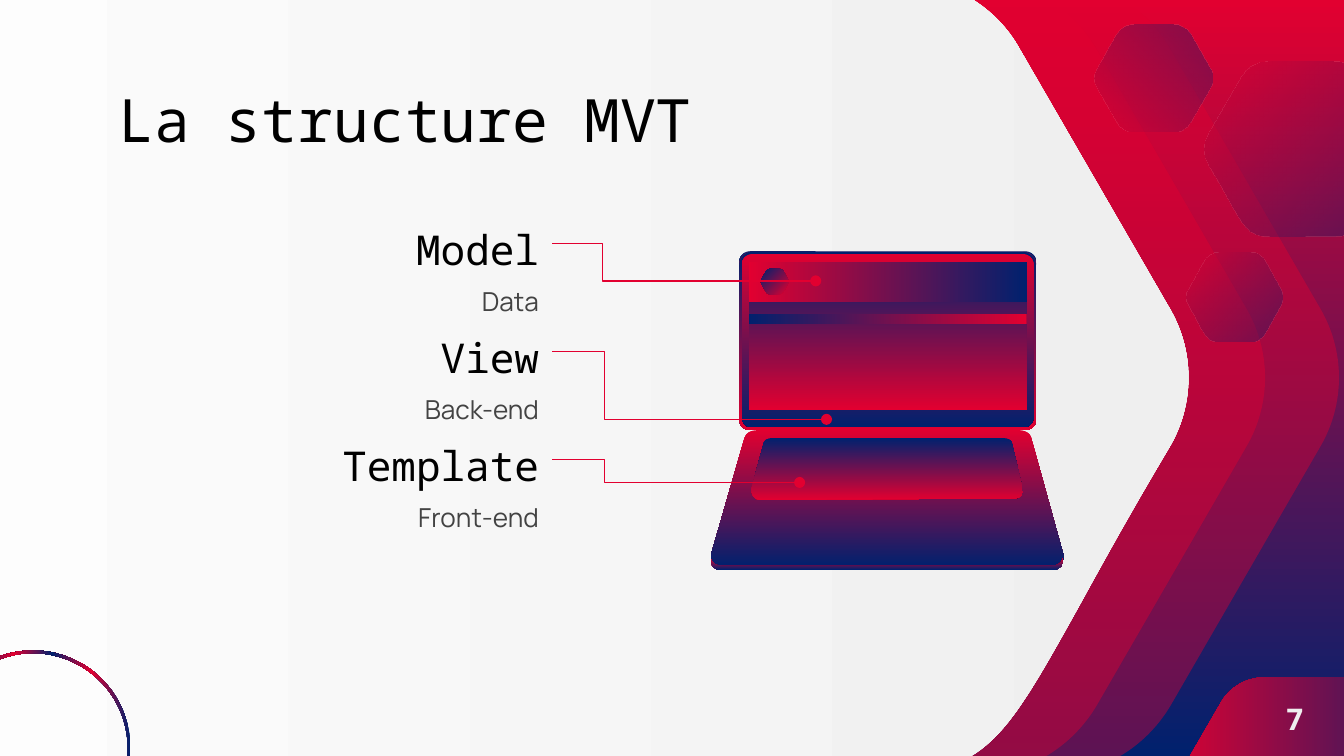
import pptx
import pptx.dml.color
import pptx.enum.shapes
import pptx.enum.text
import pptx.oxml
import pptx.oxml.ns
import pptx.util

Inches, Pt = pptx.util.Inches, pptx.util.Pt
RGBColor = pptx.dml.color.RGBColor
SHAPE = pptx.enum.shapes.MSO_SHAPE
ALIGN = pptx.enum.text.PP_ALIGN
ANCHOR = pptx.enum.text.MSO_ANCHOR
qn = pptx.oxml.ns.qn
NS = pptx.oxml.ns.nsdecls("a")

RED = RGBColor(0xE2, 0x00, 0x30)
NAVY = RGBColor(0x00, 0x21, 0x6E)
PLUM = RGBColor(0x71, 0x10, 0x4F)
WHITE = RGBColor(0xFF, 0xFF, 0xFF)
PALE = RGBColor(0xEF, 0xEF, 0xEF)
BLACK = RGBColor(0x00, 0x00, 0x00)
GREY = RGBColor(0x43, 0x43, 0x43)
MONO, SANS = "Noto Sans Mono", "Manrope"

# Content
TITLE = "La structure MVT"
PAGE = "7"
# name, description, pointer end (x, y), share of the width where it bends
LAYERS = [
    ("Model", "Data", (6.07, 2.09), 0.19),
    ("View", "Back-end", (6.15, 3.12), 0.19),
    ("Template", "Front-end", (5.95, 3.59), 0.21),
]

# Layout of the text column
LEFT, COL_W, ROW_TOP, ROW_H = 0.78, 3.33, 1.61, 0.4
PITCH, DESCRIPTION_DY = 0.805, 0.41

# Outlines: a pair is a corner, six numbers are a Bezier curve
HEX_W, HEX_H = 6.61, 5.94
HEXAGON = [
    (2.2, 0), (1.83, 0, 1.48, 0.2, 1.3, 0.53), (0.19, 2.45),
    (0, 2.77, 0, 3.17, 0.19, 3.49), (0.47, 3.96, 0.68, 4.34, 0.85, 4.65),
    (1.49, 5.8, 1.57, 5.94, 2.6, 5.94), (2.74, 5.94, 2.9, 5.94, 3.08, 5.94),
    (3.31, 5.93, 3.58, 5.93, 3.89, 5.93), (4.05, 5.93, 4.23, 5.93, 4.42, 5.93),
    (4.79, 5.93, 5.13, 5.73, 5.32, 5.41), (6.43, 3.49),
    (6.62, 3.17, 6.62, 2.77, 6.43, 2.45), (5.32, 0.53),
    (5.13, 0.2, 4.79, 0, 4.42, 0),
]
BASE = [
    (7.83, 4.21), (5.37, 4.22), (5.31, 4.22, 5.28, 4.17, 5.29, 4.13),
    (5.54, 3.26), (5.55, 3.22, 5.59, 3.2, 5.64, 3.2), (7.58, 3.2),
    (7.62, 3.2, 7.66, 3.22, 7.67, 3.25), (7.91, 4.12),
    (7.93, 4.17, 7.89, 4.21, 7.83, 4.21),
]
KEYBOARD = [
    (7.55, 3.71), (5.66, 3.72), (5.61, 3.72, 5.59, 3.68, 5.59, 3.64),
    (5.68, 3.31), (5.68, 3.28, 5.71, 3.26, 5.74, 3.26), (7.47, 3.26),
    (7.5, 3.26, 7.53, 3.28, 7.53, 3.3), (7.61, 3.64),
    (7.62, 3.68, 7.59, 3.71, 7.55, 3.71),
]
FRONT_LIP = [
    (7.83, 4.21), (5.37, 4.21), (5.33, 4.21, 5.3, 4.19, 5.29, 4.16),
    (5.28, 4.2, 5.31, 4.24, 5.37, 4.24), (7.83, 4.24),
    (7.89, 4.24, 7.92, 4.2, 7.91, 4.15), (7.9, 4.19, 7.87, 4.21, 7.83, 4.21),
]
LID_RIM = [
    (7.6, 1.87), (5.6, 1.87), (5.54, 1.87, 5.5, 1.91, 5.5, 1.97),
    (5.5, 1.92, 5.54, 1.87, 5.6, 1.87), (7.6, 1.87),
    (7.66, 1.87, 7.71, 1.92, 7.71, 1.97), (7.71, 1.91, 7.66, 1.87, 7.6, 1.87),
]
# shape, box, first and last colour, angle
LID = (SHAPE.ROUNDED_RECTANGLE, (5.5, 1.87, 2.21, 1.33), (NAVY, RED), 90)
SCREEN = [
    (SHAPE.ROUNDED_RECTANGLE, (5.52, 1.89, 2.17, 1.29), (RED, NAVY), 90),
    (SHAPE.RECTANGLE, (5.57, 1.95, 2.07, 1.1), (NAVY, RED), 90),
    (SHAPE.RECTANGLE, (5.57, 1.95, 2.07, 0.3), (RED, NAVY), 0),
    (SHAPE.RECTANGLE, (5.57, 2.34, 2.07, 0.07), (RED, NAVY), 180),
]
# box, upside down, opacity of the red end
SOFT_HEXAGONS = [
    ((8.95, 0.46, 1.45, 1.3), False, 41),
    ((8.14, 0.18, 0.89, 0.8), True, 43),
    ((8.82, 1.88, 0.73, 0.66), False, 43),
]


def add_alpha(color_el, percent):
    color_el.append(pptx.oxml.parse_xml(f'<a:alpha {NS} val="{percent * 1000}"/>'))


def gradient(fill, colors, angle, alphas=()):
    """Evenly spaced colours; the angle runs clockwise."""
    fill.gradient()
    fill.gradient_angle = (360 - angle) % 360
    stops = fill.gradient_stops[0]._gs.getparent()
    for gs in list(stops):
        stops.remove(gs)
    for i, color in enumerate(colors):
        pos = round(100000 * i / (len(colors) - 1))
        gs = pptx.oxml.parse_xml(
            f'<a:gs {NS} pos="{pos}"><a:srgbClr val="{color}"/></a:gs>')
        if alphas:
            add_alpha(gs[0], alphas[i])
        stops.append(gs)


def solid(sp, color):
    sp.fill.solid()
    sp.fill.fore_color.rgb = color


def plain(sp):
    sp.shadow.inherit = False
    sp.line.fill.background()
    return sp


def outline(slide, segments, place=lambda x, y: (x, y)):
    """Draw a closed outline, moving each point with place()."""
    points = [tuple(map(Inches, place(*seg[i:i + 2])))
              for seg in segments for i in range(0, len(seg), 2)]
    builder = slide.shapes.build_freeform(*points[0])
    builder.add_line_segments(points[1:], close=True)
    sp = plain(builder.convert_to_shape())
    # Join each three steps of a curve into one Bezier
    steps = iter(sp._element.spPr.findall(".//" + qn("a:lnTo")))
    for seg in segments[1:]:
        first = next(steps)
        if len(seg) == 6:
            curve = pptx.oxml.parse_xml(f"<a:cubicBezTo {NS}/>")
            first.addprevious(curve)
            for step in (first, next(steps), next(steps)):
                curve.append(step[0])
                step.getparent().remove(step)
    return sp


def hexagon(slide, x, y, w, h, flip=False):
    def place(px, py):
        v = py / HEX_H
        return x + w * px / HEX_W, y + h * (1 - v if flip else v)
    return outline(slide, HEXAGON, place)


def preset(slide, kind, box, colors, angle, adj=None):
    sp = plain(slide.shapes.add_shape(kind, *map(Inches, box)))
    if adj:
        sp.adjustments[0] = adj
    gradient(sp.fill, colors, angle)


def write(sp, text, size, font, color, align=ALIGN.LEFT, anchor=ANCHOR.TOP):
    tf = sp.text_frame
    tf.text = text
    tf.word_wrap = True
    tf.auto_size = pptx.enum.text.MSO_AUTO_SIZE.NONE
    tf.vertical_anchor = anchor
    tf.margin_left = tf.margin_right = tf.margin_top = tf.margin_bottom = Inches(0.1)
    p = tf.paragraphs[0]
    p.alignment = align
    r = p.runs[0]
    r.font.size, r.font.name, r.font.color.rgb = Pt(size), font, color
    return p


def textbox(slide, *box):
    return slide.shapes.add_textbox(*map(Inches, box))


def backdrop(slide):
    gradient(slide.background.fill, (RED, NAVY), 90)
    for x in (3.39, 2.84):
        sp = hexagon(slide, x, -0.16, HEX_W, HEX_H)
        solid(sp, RED)
        add_alpha(sp._element.spPr.find(".//" + qn("a:srgbClr")), 41)

    # Pale panel: a mirrored hexagon, its left half pulled past the edge
    sp = outline(slide, HEXAGON, lambda x, y: (
        8.89 - x - (4.17 if x > HEX_W * 0.4 else 0), y - 0.16))
    gradient(sp.fill, (WHITE, PALE), 0)

    # Page corner, translucent hexagons and ring
    gradient(hexagon(slide, 8.61, 5.04, 2.4, 2.15).fill, (RED, NAVY), 0)
    for box, flip, alpha in SOFT_HEXAGONS:
        gradient(hexagon(slide, *box, flip).fill, (RED, NAVY),
                 315 if flip else 45, (alpha, 40))
    preset(slide, SHAPE.DONUT, (-0.48, 4.84, 1.45, 1.45), (NAVY, RED) * 3, 180, 0.014)


def laptop(slide):
    preset(slide, *LID, 0.06)
    solid(outline(slide, LID_RIM), PLUM)
    for part in SCREEN:
        preset(slide, *part, 0.06 if part[0] == SHAPE.ROUNDED_RECTANGLE else None)
    gradient(outline(slide, BASE).fill, (RED, NAVY), 90)
    gradient(hexagon(slide, 5.66, 2, 0.21, 0.19).fill, (RED, NAVY), 225)
    gradient(outline(slide, KEYBOARD).fill, (NAVY, RED), 90)
    gradient(outline(slide, FRONT_LIP).fill, (RED, NAVY), 90)


def pointer(slide, label, end, bend):
    line = slide.shapes.add_connector(
        pptx.enum.shapes.MSO_CONNECTOR.ELBOW, label.left + label.width,
        label.top + label.height // 2, *map(Inches, end))
    line.begin_connect(label, 3)
    line.line.color.rgb = RED
    line.line.width = Pt(0.75)
    spPr = line._element.spPr
    spPr.find(qn("a:prstGeom")).get_or_add_avLst().append(pptx.oxml.parse_xml(
        f'<a:gd {NS} name="adj1" fmla="val {round(bend * 100000)}"/>'))
    spPr.find(qn("a:ln")).append(pptx.oxml.parse_xml(f'<a:tailEnd {NS} type="oval"/>'))
    spPr.append(pptx.oxml.parse_xml(f"<a:effectLst {NS}/>"))


def main():
    prs = pptx.Presentation()
    prs.slide_width, prs.slide_height = Inches(10), Inches(5.625)
    slide = prs.slides.add_slide(prs.slide_layouts[5])
    backdrop(slide)

    # Title, brought in front of the backdrop
    title = slide.shapes.title
    title.left, title.top, title.width, title.height = map(Inches, (LEFT, 0.59, 8.44, 0.59))
    write(title, TITLE, 32, MONO, BLACK, anchor=ANCHOR.MIDDLE)
    slide.shapes._spTree.append(title._element)

    # Layer names and descriptions
    labels = []
    for i, (name, description, _, _) in enumerate(LAYERS):
        y = ROW_TOP + i * PITCH
        label = textbox(slide, LEFT, y, COL_W, ROW_H)
        write(label, name, 22, MONO, BLACK, ALIGN.RIGHT).line_spacing = 0.9
        labels.append(label)
        tb = textbox(slide, LEFT, y + DESCRIPTION_DY, COL_W, ROW_H)
        write(tb, description, 14, SANS, GREY, ALIGN.RIGHT).space_after = Pt(16)

    laptop(slide)
    for label, (_, _, end, bend) in zip(labels, LAYERS):
        pointer(slide, label, end, bend)

    # Page number
    tb = textbox(slide, 9.27, 5.04, 0.73, 0.62)
    p = write(tb, PAGE, 16, MONO, PALE, ALIGN.CENTER, ANCHOR.MIDDLE)
    p.runs[0].font.bold = True
    prs.save("out.pptx")


if __name__ == "__main__":
    main()
